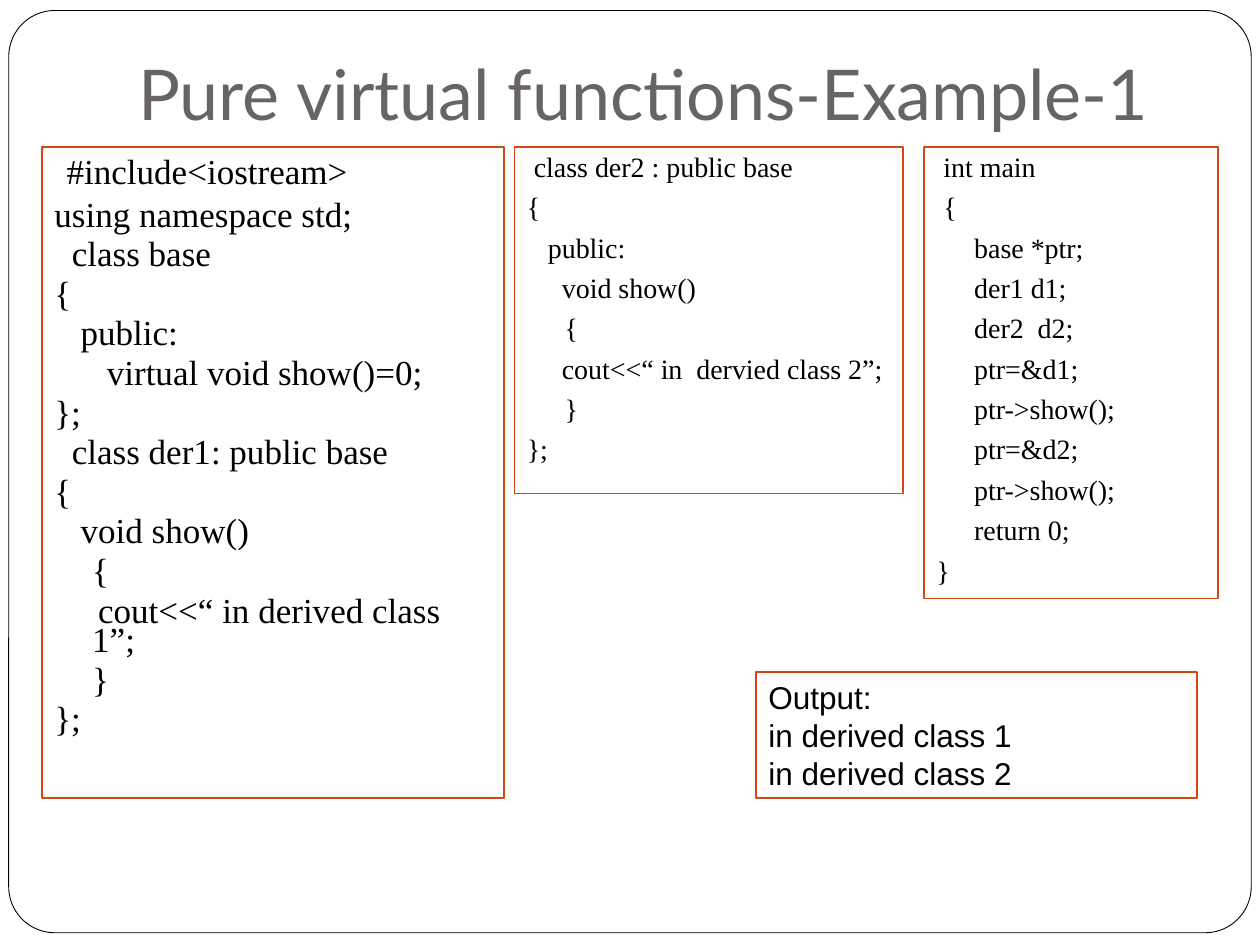
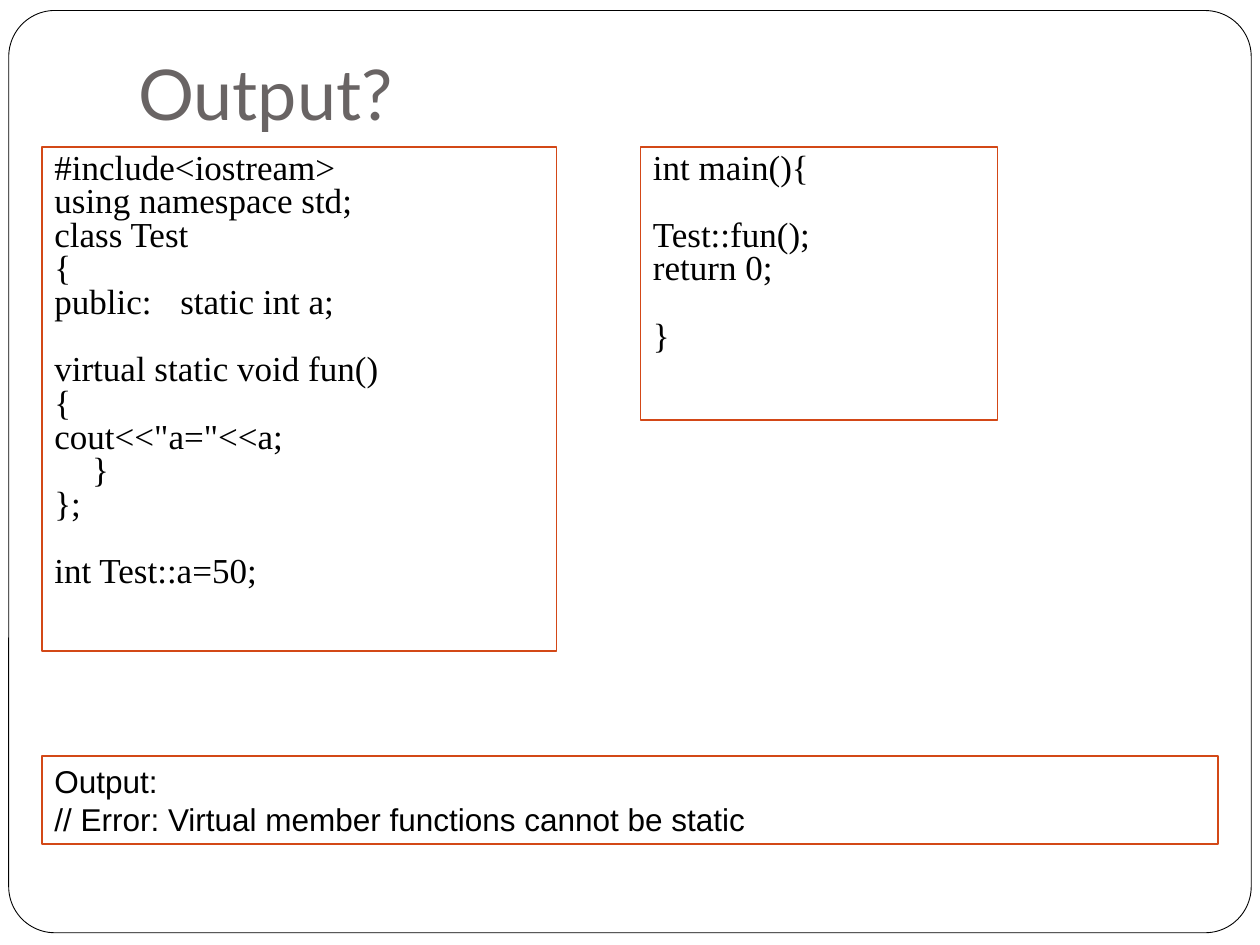
"""Two slides on pure virtual functions: outlined code panels with their output."""
from lxml import etree
from pptx import Presentation
from pptx.dml.color import RGBColor
from pptx.enum import shapes, text
from pptx.oxml import ns
from pptx.util import Pt

COLORS = {"paper": "FFFFFF", "frame": "000000", "title": "696464", "panel": "D34817", "code": "000000"}
CODE, OUTPUT, TITLE = "Times New Roman", "Arial", "Lato"
TAB = 21.6
GAP = 19.2


def add_box(s, kind, at, line=None, width=0.75):
    """Add an unfilled shape with left-aligned, top-anchored text settings."""
    sp = s.shapes.add_shape(kind, *[Pt(v) for v in at])
    sp.shadow.inherit = False
    sp.fill.background()
    if line:
        sp.line.color.rgb = RGBColor.from_string(COLORS[line])
        sp.line.width = Pt(width)
    else:
        sp.line.fill.background()
    tf = sp.text_frame
    tf.word_wrap = True
    tf.vertical_anchor = text.MSO_ANCHOR.TOP
    return sp


def write(tf, lines, font, size, color="code", spacing=1.0, before=0):
    """Write lines given as (left indent, words, optional space before)."""
    for i, (indent, words, *space) in enumerate(lines):
        p = tf.paragraphs[0] if i == 0 else tf.add_paragraph()
        p.text = words
        p.alignment = text.PP_ALIGN.LEFT
        p.line_spacing = spacing
        p.space_before = Pt(space[0] if space else before)
        p.font.name, p.font.size = font, Pt(size)
        p.font.color.rgb = RGBColor.from_string(COLORS[color])
        pPr = p._p.get_or_add_pPr()
        hang = TAB if words.startswith("cout") and indent > TAB else indent
        pPr.set("marL", str(Pt(hang)))
        pPr.set("indent", str(Pt(indent - hang)))
        if "\t" in words:
            tabs = etree.Element(ns.qn("a:tabLst"))
            etree.SubElement(tabs, ns.qn("a:tab"), pos=str(Pt(75.6)), algn="l")
            pPr.find(ns.qn("a:defRPr")).addprevious(tabs)


base_code = [
    (7, "#include<iostream>"), (0, "using namespace std;", 7.4), (10, "class base"), (0, "{"),
    (15, "public:"), (30, "virtual void show()=0;"), (0, "};"), (10, "class der1: public base"),
    (0, "{"), (15, "void show()"), (TAB, "{"), (25, "cout<<“ in derived class 1”;"),
    (TAB, "}"), (0, "};")]
der2_code = [
    (4, "class der2 : public base"), (0, "{"), (12, "public:"), (20, "void show()"), (TAB, "{"),
    (20, "cout<<“ in  dervied class 2”;"), (TAB, "}"), (0, "};")]
main_code = [(4, "int main"), (4, "{")] + [(TAB, words) for words in (
    "base *ptr;", "der1 d1;", "der2  d2;", "ptr=&d1;", "ptr->show();", "ptr=&d2;",
    "ptr->show();", "return 0;")] + [(0, "}")]
test_code = [
    (0, "#include<iostream>"), (0, "using namespace std;"), (0, "class Test"), (0, "{"),
    (0, "public:\tstatic int a;"), (0, "virtual static void fun()", GAP), (0, "{"),
    (0, 'cout<<"a="<<a;'), (TAB, "}"), (0, "};"), (0, "int Test::a=50;", GAP)]
call_code = [(0, "int main(){"), (0, "Test::fun();", GAP), (0, "return 0;"), (0, "}", GAP)]
example_output = [(0, "Output:"), (0, "in derived class 1"), (0, "in derived class 2")]
error_output = [(0, "Output:"), (0, "// Error: Virtual member functions cannot be static")]

slides = [
    ("Pure virtual functions-Example-1", [
        ((24, 84, 264, 372), 8.2, base_code, CODE, 20, 0.7, 5.8),
        ((294, 84, 222, 198), 3.6, der2_code, CODE, 16, 0.9, 5.8),
        ((528, 84, 168, 258), 3.6, main_code, CODE, 16, 0.9, 5.8),
        ((432, 384, 252, 72), 3.6, example_output, OUTPUT, 18, 1.0, 0)]),
    ("Output?", [
        ((24, 84, 294, 288), 3.6, test_code, CODE, 20, 0.8, 0),
        ((366, 84, 204, 156), 3.6, call_code, CODE, 20, 0.8, 0),
        ((24, 432, 672, 50.4), 3.6, error_output, OUTPUT, 18, 1.0, 0)]),
]

prs = Presentation()
prs.slide_width, prs.slide_height = Pt(720), Pt(540)

for title, panels in slides:
    s = prs.slides.add_slide(prs.slide_layouts[6])
    frame = add_box(s, shapes.MSO_SHAPE.ROUNDED_RECTANGLE, (5, 6, 710, 527), "frame", 0.5)
    frame.adjustments[0] = 0.05
    frame.fill.solid()
    frame.fill.fore_color.rgb = RGBColor.from_string(COLORS["paper"])

    tf = s.shapes.add_textbox(Pt(72), Pt(21.6), Pt(612), Pt(62.4)).text_frame
    tf.word_wrap = True
    tf.vertical_anchor = text.MSO_ANCHOR.BOTTOM
    tf.margin_bottom = Pt(7.2)
    write(tf, [(0, title)], TITLE, 40, "title")

    for at, top, lines, font, size, spacing, before in panels:
        sp = add_box(s, shapes.MSO_SHAPE.RECTANGLE, at, "panel")
        sp.text_frame.margin_top = Pt(top)
        write(sp.text_frame, lines, font, size, spacing=spacing, before=before)

prs.save("out.pptx")
